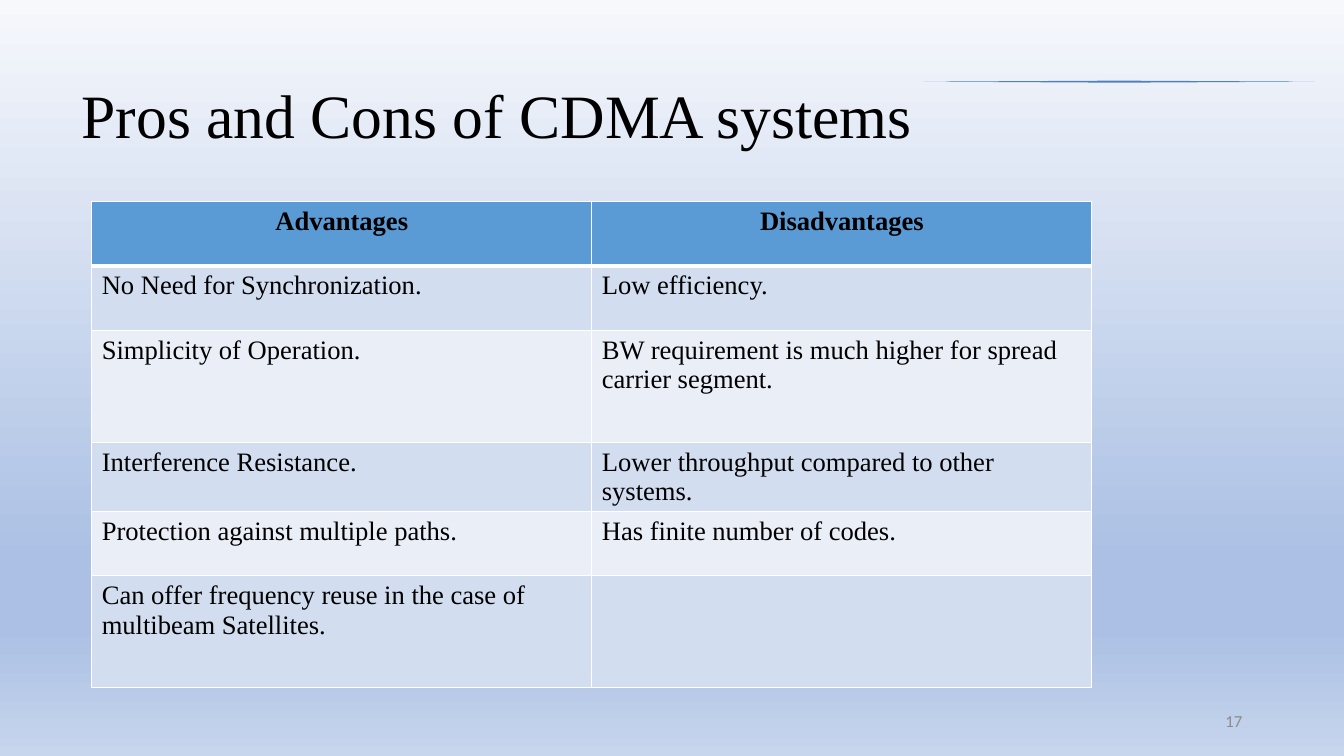
"""Build the slide that weighs the pros and cons of CDMA systems."""
from lxml import etree
from pptx import Presentation
from pptx.dml.color import RGBColor
from pptx.enum.text import MSO_ANCHOR, MSO_AUTO_SIZE, PP_ALIGN
from pptx.oxml.ns import qn
from pptx.util import Inches, Pt

LEFT, MID, RIGHT = PP_ALIGN.LEFT, PP_ALIGN.CENTER, PP_ALIGN.RIGHT
CENTER, NO_FIT = MSO_ANCHOR.MIDDLE, MSO_AUTO_SIZE.NONE
HEX = {"ink": "000000", "head": "5B9BD5", "odd": "D2DEEF", "even": "EAEFF7",
       "edge": "FFFFFF", "page": "8C8C8C", "line": "4F81BD"}
SKY = [(0, "F6F8FC"), (74, "ABC0E4"), (83, "ABC0E4"), (100, "C7D5ED")]
ROWS = [
    ("Advantages", "Disadvantages", 0.64),
    ("No Need for Synchronization.", "Low efficiency.", 0.64),
    ("Simplicity of Operation.",
     "BW requirement is much higher for spread carrier segment.", 1.11),
    ("Interference Resistance.",
     "Lower throughput compared to other systems.", 0.64),
    ("Protection against multiple paths.", "Has finite number of codes.", 0.64),
    ("Can offer frequency reuse in the case of multibeam Satellites.", "", 1.11),
]


def write(frame, text, size=19, face="Times New Roman", color="ink",
          bold=False, align=LEFT, space=1.0):
    para = frame.paragraphs[0]
    para.alignment, para.line_spacing = align, space
    if text:
        run = para.add_run()
        run.text = text
        font = run.font
        font.size, font.name, font.bold = Pt(size), face, bold
        font.color.rgb = RGBColor.from_string(HEX[color])


def edge(cell, side, width):
    line = etree.SubElement(cell._tc.get_or_add_tcPr(), qn("a:ln" + side),
                            w=str(Pt(width)))
    fill = etree.SubElement(line, qn("a:solidFill"))
    etree.SubElement(fill, qn("a:srgbClr"), val=HEX["edge"])


deck = Presentation()
deck.slide_width, deck.slide_height = Inches(13.33), Inches(7.5)
slide = deck.slides.add_slide(deck.slide_layouts[5])

back = slide.background.fill
back.gradient()
back.gradient_angle = 270
stops = slide.element.find(".//" + qn("a:gsLst"))
for stop in list(stops):
    stops.remove(stop)
for share, color in SKY:
    stop = etree.SubElement(stops, qn("a:gs"), pos=str(share * 1000))
    etree.SubElement(stop, qn("a:srgbClr"), val=color)

title = slide.shapes.title
title.left, title.top = Inches(0.71), Inches(0.5)
title.width, title.height = Inches(11.71), Inches(1.36)
frame = title.text_frame
frame.word_wrap, frame.auto_size = True, NO_FIT
frame.vertical_anchor = CENTER
write(frame, "Pros and Cons of CDMA systems", size=44, space=0.9)

table = slide.shapes.add_table(len(ROWS), 2, Inches(0.91), Inches(2),
                               Inches(9.92), Inches(4.78)).table
for r, (pro, con, tall) in enumerate(ROWS):
    table.rows[r].height = Inches(tall)
    shade = "head" if r == 0 else "odd" if r % 2 else "even"
    for c, text in enumerate((pro, con)):
        cell = table.cell(r, c)
        write(cell.text_frame, text, bold=r == 0, align=LEFT if r else MID)
        for side in "LRTB":
            thick = (r, side) in ((0, "B"), (1, "T"))
            edge(cell, side, 3 if thick else 1)
        cell.fill.solid()
        cell.fill.fore_color.rgb = RGBColor.from_string(HEX[shade])

page = slide.shapes.add_textbox(Inches(9.42), Inches(6.95),
                                Inches(3), Inches(0.4)).text_frame
page.word_wrap, page.vertical_anchor = True, CENTER
write(page, "17", size=12, face="Calibri", color="page", align=RIGHT)

pen = slide.shapes.build_freeform(916, 81, scale=Inches(0.01))
pen.add_line_segments([(1110, 80.5), (1304, 81), (1110, 81.5)], close=True)
rule = pen.convert_to_shape()
rule.shadow.inherit = False
rule.fill.solid()
rule.fill.fore_color.rgb = RGBColor.from_string(HEX["line"])
rule.line.fill.background()

deck.save("out.pptx")
